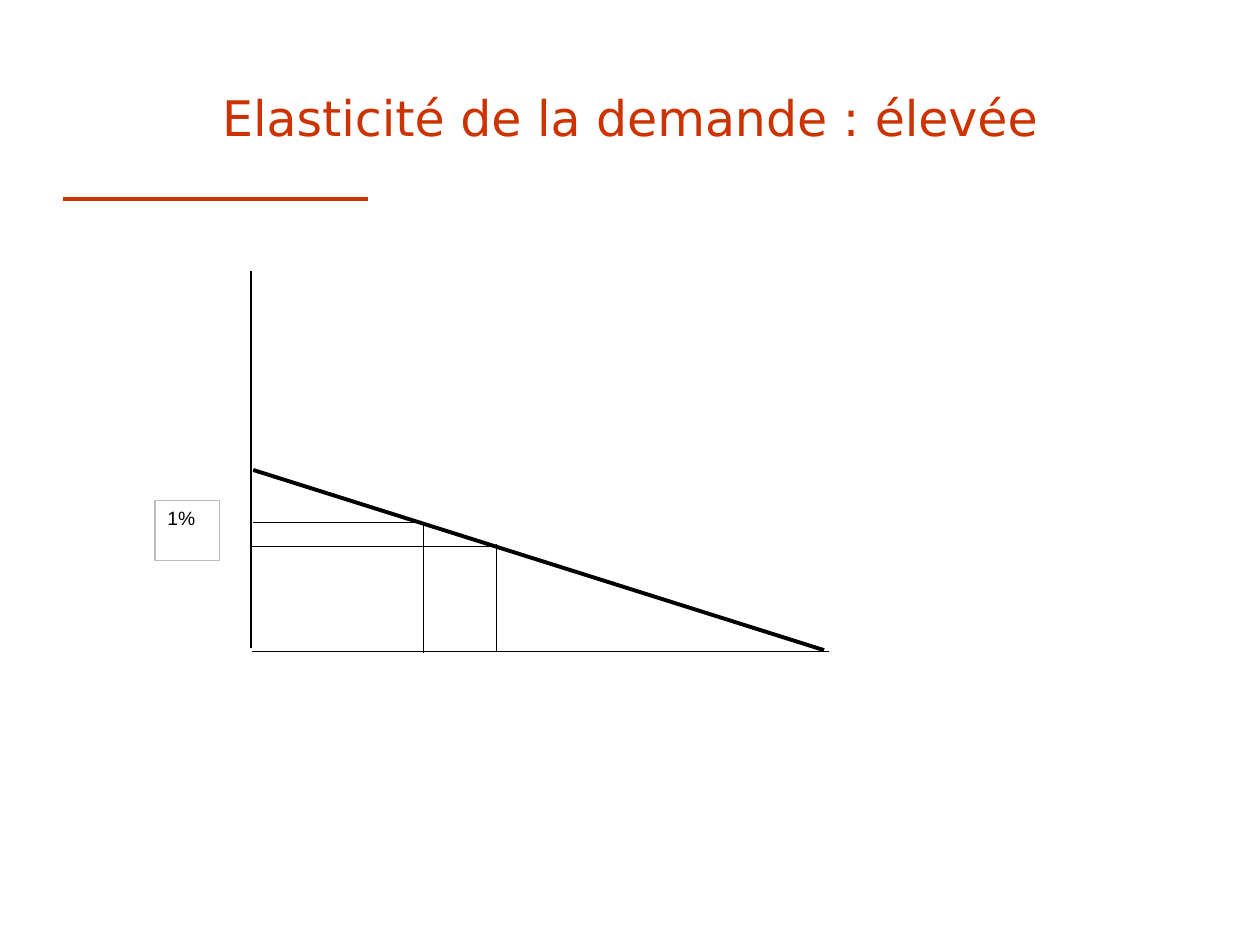
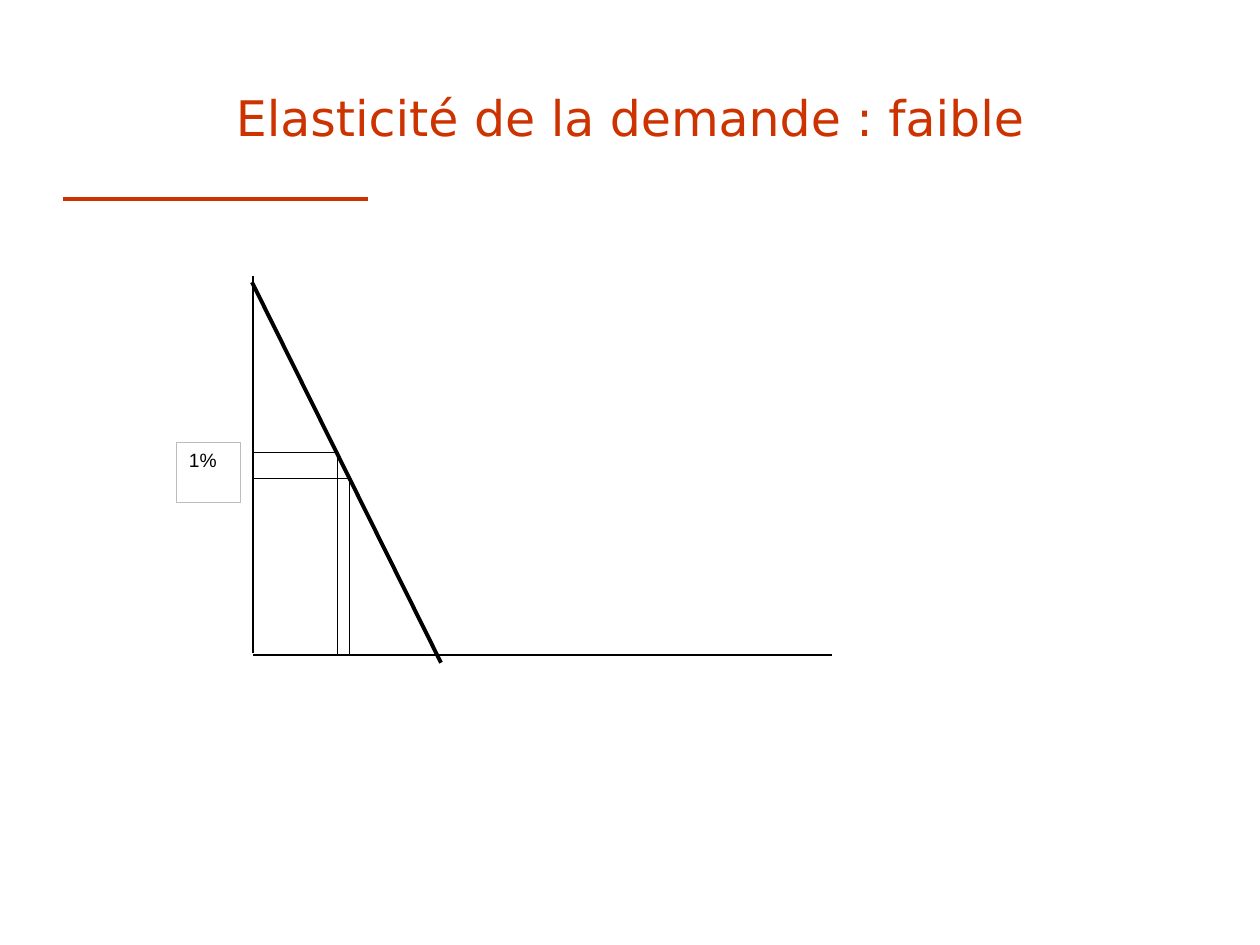
"""Build two slides on high and low demand elasticity."""
from dataclasses import dataclass

from lxml import etree
from pptx import Presentation
from pptx.dml.color import RGBColor
from pptx.enum.shapes import MSO_CONNECTOR, MSO_SHAPE
from pptx.enum.text import MSO_ANCHOR, MSO_AUTO_SIZE, PP_ALIGN
from pptx.oxml.ns import qn
from pptx.slide import Slide
from pptx.util import Inches, Pt

STRAIGHT = MSO_CONNECTOR.STRAIGHT
RECTANGLE = MSO_SHAPE.RECTANGLE
TOP, MIDDLE = MSO_ANCHOR.TOP, MSO_ANCHOR.MIDDLE
LEFT, CENTER = PP_ALIGN.LEFT, PP_ALIGN.CENTER
NO_FIT = MSO_AUTO_SIZE.NONE
TITLE_ONLY = 5


@dataclass(frozen=True)
class Theme:
    accent: RGBColor = RGBColor(0xCC, 0x33, 0x00)
    ink: RGBColor = RGBColor(0x00, 0x00, 0x00)
    paper: RGBColor = RGBColor(0xFF, 0xFF, 0xFF)
    border: RGBColor = RGBColor(0xBC, 0xBC, 0xBC)
    title_font: str = "DejaVu Sans"
    label_font: str = "Arial"
    title_size: float = 28
    label_size: float = 11
    title_rule: float = 2
    axis: float = 1
    demand: float = 2.25
    guide: float = 0.5
    label_border: float = 0.75


@dataclass(frozen=True)
class Segment:
    x1: float
    y1: float
    x2: float
    y2: float


@dataclass(frozen=True)
class DemandGraph:
    title: str
    axes: tuple[Segment, Segment]
    demand: Segment
    price_guides: tuple[Segment, Segment]
    quantity_guides: tuple[Segment, Segment]
    label_left: float
    label_top: float


THEME = Theme()
TITLE_RULE = Segment(0.5, 1.58, 2.92, 1.58)
PRICE_CHANGE = "1%"

GRAPHS = (
    DemandGraph(
        title="Elasticité de la demande : élevée",
        axes=(Segment(1.99, 2.15, 1.99, 5.14), Segment(2, 5.17, 6.58, 5.17)),
        demand=Segment(2.01, 3.73, 6.54, 5.16),
        price_guides=(Segment(2.01, 4.15, 3.36, 4.15), Segment(1.99, 4.34, 3.94, 4.34)),
        quantity_guides=(Segment(3.36, 4.15, 3.36, 5.18), Segment(3.94, 4.32, 3.94, 5.17)),
        label_left=1.23,
        label_top=3.97,
    ),
    DemandGraph(
        title="Elasticité de la demande : faible",
        axes=(Segment(2.01, 2.19, 2.01, 5.18), Segment(2.01, 5.2, 6.6, 5.2)),
        demand=Segment(2, 2.24, 3.5, 5.26),
        price_guides=(Segment(2.69, 3.59, 2.01, 3.59), Segment(2.01, 3.8, 2.78, 3.8)),
        quantity_guides=(Segment(2.68, 3.6, 2.68, 5.19), Segment(2.77, 3.8, 2.77, 5.19)),
        label_left=1.4,
        label_top=3.51,
    ),
)


def draw_line(page: Slide, segment: Segment, color: RGBColor, width: float) -> None:
    ends = (Inches(v) for v in (segment.x1, segment.y1, segment.x2, segment.y2))
    line = page.shapes.add_connector(STRAIGHT, *ends)
    line.line.color.rgb = color
    line.line.width = Pt(width)
    properties = line._element.find(qn("p:spPr"))
    etree.SubElement(properties, qn("a:effectLst"))


def write_text(box, text: str, font: str, size: float, color: RGBColor,
               align: PP_ALIGN, anchor: MSO_ANCHOR) -> None:
    frame = box.text_frame
    frame.word_wrap = True
    frame.auto_size = NO_FIT
    frame.vertical_anchor = anchor
    para = frame.paragraphs[0]
    para.text = text
    para.alignment = align
    para.font.name = font
    para.font.size = Pt(size)
    para.font.color.rgb = color


def draw_title(page: Slide, text: str) -> None:
    box = page.shapes.title
    box.left, box.top = Inches(0.5), Inches(0.3)
    box.width, box.height = Inches(9), Inches(1.25)
    write_text(box, text, THEME.title_font, THEME.title_size, THEME.accent, CENTER, MIDDLE)
    draw_line(page, TITLE_RULE, THEME.accent, THEME.title_rule)


def draw_label(page: Slide, left: float, top: float) -> None:
    box = page.shapes.add_shape(
        RECTANGLE, Inches(left), Inches(top), Inches(0.51), Inches(0.48))
    box.shadow.inherit = False
    box.fill.solid()
    box.fill.fore_color.rgb = THEME.paper
    box.line.color.rgb = THEME.border
    box.line.width = Pt(THEME.label_border)
    write_text(box, PRICE_CHANGE, THEME.label_font, THEME.label_size, THEME.ink, LEFT, TOP)


def draw_graph(page: Slide, graph: DemandGraph) -> None:
    draw_title(page, graph.title)
    for axis in graph.axes:
        draw_line(page, axis, THEME.ink, THEME.axis)
    draw_line(page, graph.demand, THEME.ink, THEME.demand)
    for guide in graph.price_guides:
        draw_line(page, guide, THEME.ink, THEME.guide)
    draw_label(page, graph.label_left, graph.label_top)
    for guide in graph.quantity_guides:
        draw_line(page, guide, THEME.ink, THEME.guide)


def main() -> None:
    deck = Presentation()
    deck.slide_width, deck.slide_height = Inches(10), Inches(7.5)
    for graph in GRAPHS:
        draw_graph(deck.slides.add_slide(deck.slide_layouts[TITLE_ONLY]), graph)
    deck.save("out.pptx")


if __name__ == "__main__":
    main()
